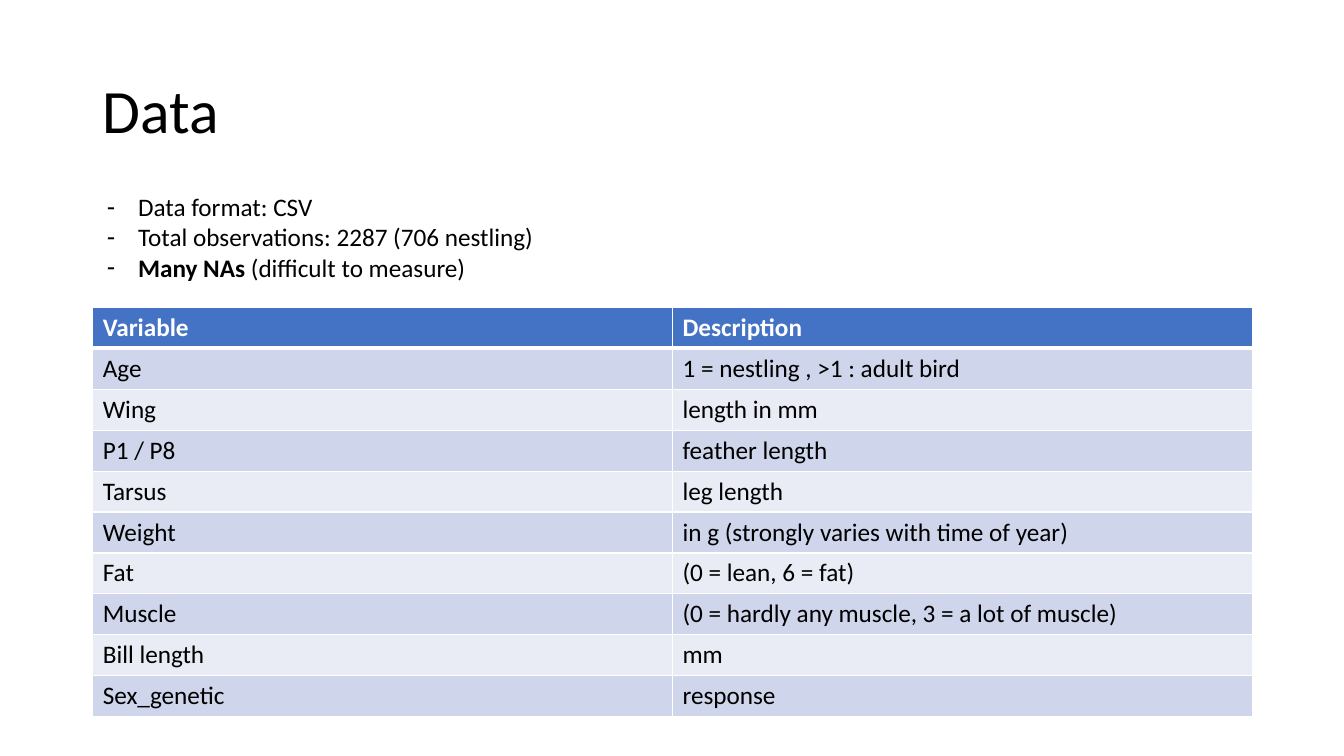
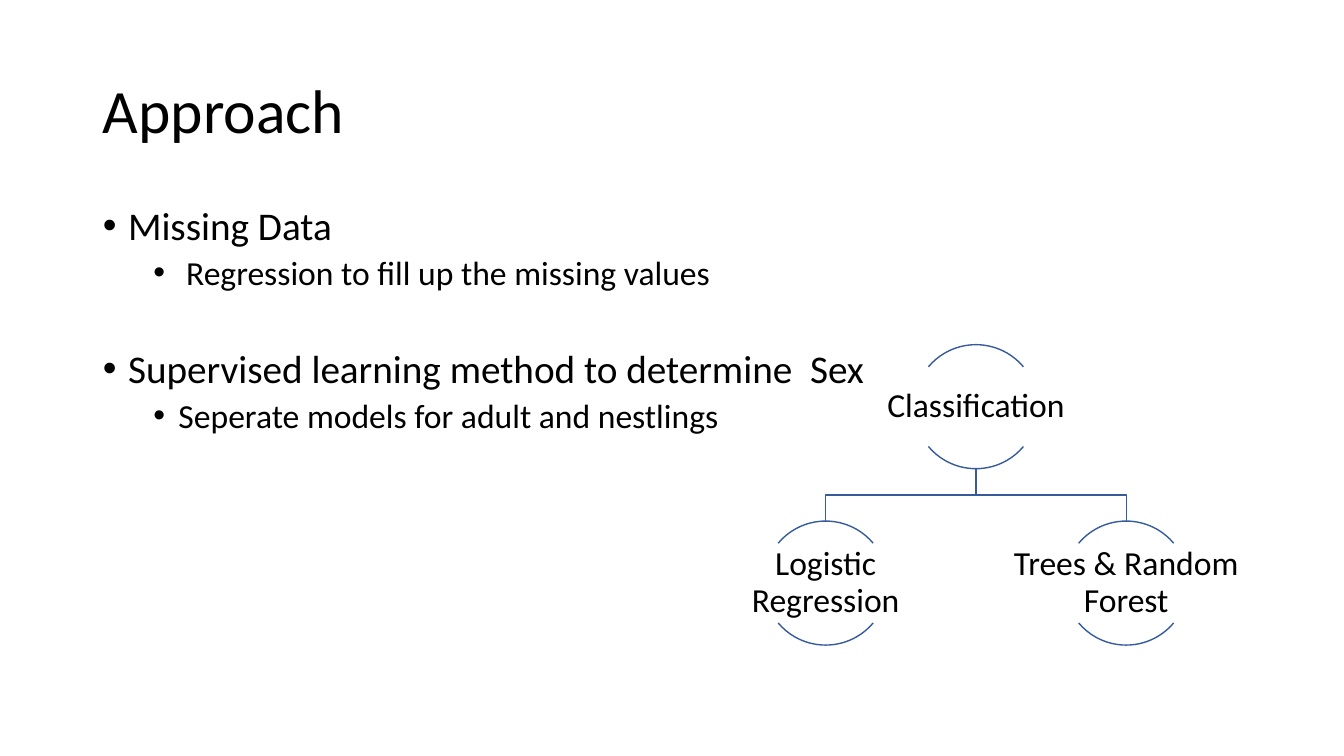
from lxml.etree import SubElement
from pptx import Presentation
from pptx.dml.color import RGBColor
from pptx.enum.shapes import MSO_SHAPE as Shape
from pptx.enum.text import MSO_ANCHOR as Anchor, MSO_AUTO_SIZE as AutoSize, PP_ALIGN as Align
from pptx.oxml.ns import qn
from pptx.util import Inches, Pt

FONT = "Calibri"
BLACK = RGBColor(0x00, 0x00, 0x00)
WHITE = RGBColor(0xFF, 0xFF, 0xFF)
HEADER_BLUE = RGBColor(0x44, 0x72, 0xC4)
BAND_DARK = RGBColor(0xCF, 0xD5, 0xEA)
BAND_LIGHT = RGBColor(0xE9, 0xEB, 0xF5)
LINE_BLUE = RGBColor(0x36, 0x5B, 0x9D)

TITLE_BOX = (0.92, 0.4, 11.5, 1.45)
ARC_SIZE = 1.23
TOP_ARC = (132, 192)
BOTTOM_ARC = (24, 84)
LABEL_WIDTH, LABEL_HEIGHT = 2.46, 0.79

VARIABLES = [
    ("Variable", "Description"),
    ("Age", "1 = nestling , >1 : adult bird"),
    ("Wing", "length in mm"),
    ("P1 / P8", "feather length"),
    ("Tarsus", "leg length"),
    ("Weight", "in g (strongly varies with time of year)"),
    ("Fat", "(0 = lean, 6 = fat)"),
    ("Muscle", "(0 = hardly any muscle, 3 = a lot of muscle)"),
    ("Bill length", "mm"),
    ("Sex_genetic", "response"),
]


def inches(lengths):
    return [Inches(length) for length in lengths]


def place(shape, box):
    shape.left, shape.top, shape.width, shape.height = inches(box)


def format_runs(paragraph, size, color=BLACK, bold=False):
    for span in paragraph.runs:
        span.font.name = FONT
        span.font.size = Pt(size)
        span.font.color.rgb = color
        span.font.bold = bold


def add_page(deck, title):
    page = deck.slides.add_slide(deck.slide_layouts[1])
    heading = page.shapes.title
    place(heading, TITLE_BOX)
    frame = heading.text_frame
    frame.text = title
    frame.auto_size = AutoSize.NONE
    frame.vertical_anchor = Anchor.MIDDLE
    paragraph = frame.paragraphs[0]
    paragraph.alignment = Align.LEFT
    paragraph.line_spacing = 0.9
    format_runs(paragraph, 44)
    return page


def set_bullet(paragraph, mark, margin, hanging):
    properties = paragraph._p.get_or_add_pPr()
    properties.set("marL", str(Inches(margin)))
    properties.set("indent", str(-Inches(hanging)))
    SubElement(properties, qn("a:buFont")).set("typeface", "Arial")
    SubElement(properties, qn("a:buChar")).set("char", mark)


def start_list(page, box, texts):
    body = page.placeholders[1]
    place(body, box)
    frame = body.text_frame
    frame.text = "\n".join(texts)
    frame.auto_size = AutoSize.NONE
    frame.vertical_anchor = Anchor.TOP
    return frame.paragraphs


def add_dash_list(page, box, texts, lead):
    paragraphs = start_list(page, box, texts)
    for paragraph in paragraphs:
        paragraph.line_spacing = 1.0
        paragraph.space_before = Pt(0)
        set_bullet(paragraph, "-", 0.31, 0.31)
    last = paragraphs[-1]
    last.text = lead
    last.add_run().text = texts[-1].removeprefix(lead)
    for paragraph in paragraphs:
        format_runs(paragraph, 18)
    last.runs[0].font.bold = True


def add_outline(page, box, items):
    paragraphs = start_list(page, box, [text for text, _, _ in items])
    for paragraph, (_, level, gap) in zip(paragraphs, items):
        paragraph.level = level
        paragraph.line_spacing = 0.9
        paragraph.space_before = Pt(gap)
        set_bullet(paragraph, "•", 0.25 + 0.5 * level, 0.25)
        format_runs(paragraph, 28 - 4 * level)


def set_borders(cell, top, bottom):
    properties = cell._tc.get_or_add_tcPr()
    for side, width in (("L", 1), ("R", 1), ("T", top), ("B", bottom)):
        border = SubElement(properties, qn(f"a:ln{side}"), w=str(Pt(width)))
        fill = SubElement(border, qn("a:solidFill"))
        SubElement(fill, qn("a:srgbClr")).set("val", str(WHITE))


def add_variable_table(page, box, rows):
    table = page.shapes.add_table(len(rows), len(rows[0]), *inches(box)).table
    for row_index, row in enumerate(rows):
        is_header = row_index == 0
        band = BAND_DARK if row_index % 2 else BAND_LIGHT
        for column_index, text in enumerate(row):
            cell = table.cell(row_index, column_index)
            cell.text = text
            set_borders(cell, 3 if row_index == 1 else 1, 3 if is_header else 1)
            cell.fill.solid()
            cell.fill.fore_color.rgb = HEADER_BLUE if is_header else band
            color = WHITE if is_header else BLACK
            format_runs(cell.text_frame.paragraphs[0], 18, color, is_header)


def outline_only(shape):
    shape.shadow.inherit = False
    shape.fill.background()
    shape.line.color.rgb = LINE_BLUE
    shape.line.width = Pt(1)


def add_branch(page, start, end):
    (start_x, start_y), (end_x, end_y) = start, end
    middle_y = (start_y + end_y) / 2
    corners = [(start_x, middle_y), (end_x, middle_y), end]
    builder = page.shapes.build_freeform(Inches(start_x), Inches(start_y))
    builder.add_line_segments([inches(corner) for corner in corners], close=False)
    outline_only(builder.convert_to_shape())


def add_node(page, center_x, top, text):
    arc_box = inches((center_x - ARC_SIZE / 2, top, ARC_SIZE, ARC_SIZE))
    for angles in (TOP_ARC, BOTTOM_ARC):
        arc = page.shapes.add_shape(Shape.ARC, *arc_box)
        arc.adjustments[0], arc.adjustments[1] = angles
        outline_only(arc)
    label_top = top + (ARC_SIZE - LABEL_HEIGHT) / 2
    label_box = (center_x - LABEL_WIDTH / 2, label_top, LABEL_WIDTH, LABEL_HEIGHT)
    frame = page.shapes.add_textbox(*inches(label_box)).text_frame
    frame.text = text
    frame.word_wrap = True
    frame.vertical_anchor = Anchor.MIDDLE
    frame.margin_left = frame.margin_right = Inches(0.02)
    frame.margin_top = frame.margin_bottom = Inches(0.02)
    paragraph = frame.paragraphs[0]
    paragraph.alignment = Align.CENTER
    paragraph.line_spacing = 0.9
    format_runs(paragraph, 24)


def add_tree(page, center_x, top, root, children, child_top, spacing):
    first_x = center_x - spacing * (len(children) - 1) / 2
    nodes = [(first_x + index * spacing, text) for index, text in enumerate(children)]
    for child_x, _ in nodes:
        add_branch(page, (center_x, top + ARC_SIZE), (child_x, child_top))
    add_node(page, center_x, top, root)
    for child_x, text in nodes:
        add_node(page, child_x, child_top, text)


def main():
    deck = Presentation()
    deck.slide_width, deck.slide_height = Inches(13.33), Inches(7.5)

    data_page = add_page(deck, "Data")
    add_variable_table(data_page, (0.92, 3.05, 11.5, 4.06), VARIABLES)
    add_dash_list(data_page, (0.96, 1.85, 11.42, 1.01), [
        "Data format: CSV",
        "Total observations: 2287 (706 nestling)",
        "Many NAs (difficult to measure)",
    ], "Many NAs")

    approach_page = add_page(deck, "Approach")
    add_outline(approach_page, (0.92, 2, 11.5, 4.76), [
        ("Missing Data", 0, 10),
        (" Regression to fill up the missing values", 1, 5),
        ("Supervised learning method to determine  Sex", 0, 41),
        ("Seperate models for adult and nestlings", 1, 5),
    ])
    add_tree(approach_page, 9.68, 3.42, "Classification",
             ["Logistic Regression", "Trees & Random Forest"], 5.17, 2.98)

    deck.save("out.pptx")


if __name__ == "__main__":
    main()
